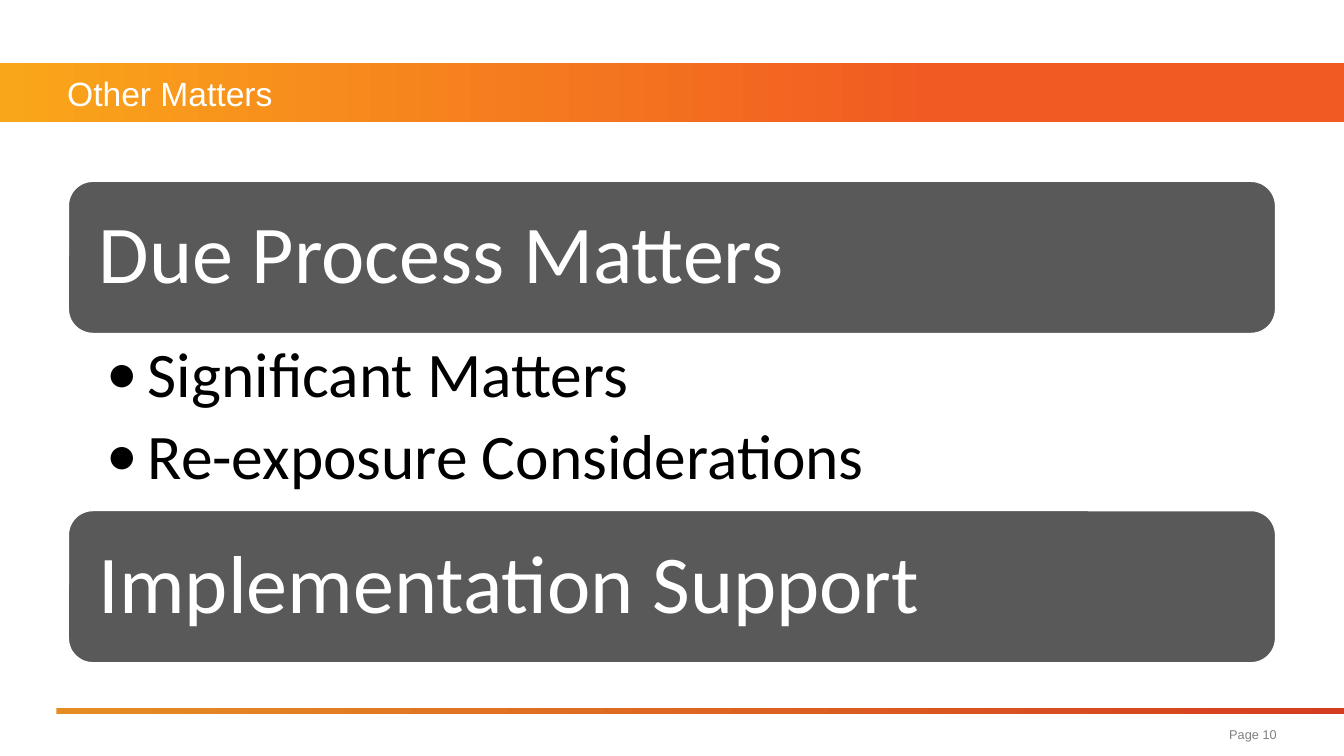
import pptx
import pptx.util
import pptx.dml.color
import pptx.enum.shapes
import pptx.enum.text
import pptx.oxml.ns
import lxml.etree

Inches = pptx.util.Inches
Pt = pptx.util.Pt
Shape = pptx.enum.shapes.MSO_SHAPE
Align = pptx.enum.text.PP_ALIGN
Anchor = pptx.enum.text.MSO_ANCHOR

theme = {
    "white": "FFFFFF", "black": "000000", "gray": "595959", "pale": "808080",
    "amber": "FAA61A", "orange": "F15A22", "gold": "E58D23", "red": "D53D20",
    "head": "Arial", "body": "Calibri",
    "title": 18, "page": 6.8, "bar": 44, "point": 34,
}


def color(name):
    return pptx.dml.color.RGBColor.from_string(theme[name])


def write(para, text, size, face, tone):
    run = para.add_run()
    run.text = text
    run.font.size = Pt(theme[size])
    run.font.name = theme[face]
    run.font.color.rgb = color(tone)


deck = pptx.Presentation()
deck.slide_width = Inches(10)
deck.slide_height = Inches(10 * 9 / 16)
slide = deck.slides.add_slide(deck.slide_layouts[5])
shapes = slide.shapes

for left, top, width, height, stops in [
    (0, 0.47, 10, 0.44, [("amber", 0), ("orange", 0.7)]),
    (0.42, 5.27, 9.58, 0.04, [("gold", 0), ("red", 1)]),
]:
    band = shapes.add_shape(Shape.RECTANGLE, Inches(left), Inches(top), Inches(width), Inches(height))
    band.shadow.inherit = False
    band.line.fill.background()
    band.fill.gradient()
    band.fill.gradient_angle = 0
    for stop, (tone, place) in zip(band.fill.gradient_stops, stops):
        stop.color.rgb = color(tone)
        stop.position = place

title = shapes.title
shapes.element.append(title.element)
title.left, title.top = Inches(0.5), Inches(0.47)
title.width, title.height = Inches(9), Inches(0.44)
page = shapes.add_textbox(Inches(6.48), Inches(5.34), Inches(3.02), Inches(0.25))
for box, text, size, tone, align in [
    (title, "Other Matters", "title", "white", Align.LEFT),
    (page, "Page 10", "page", "pale", Align.RIGHT),
]:
    frame = box.text_frame
    frame.word_wrap = True
    frame.auto_size = pptx.enum.text.MSO_AUTO_SIZE.NONE
    frame.vertical_anchor = Anchor.MIDDLE
    frame.margin_left = frame.margin_right = frame.margin_top = frame.margin_bottom = 0
    para = frame.paragraphs[0]
    para.alignment = align
    write(para, text, size, "head", tone)

for top, text in [(1.34, "Due Process Matters"), (3.79, "Implementation Support")]:
    bar = shapes.add_shape(Shape.ROUNDED_RECTANGLE, Inches(0.5), Inches(top), Inches(9), Inches(1.15))
    bar.shadow.inherit = False
    bar.fill.solid()
    bar.fill.fore_color.rgb = color("gray")
    bar.line.color.rgb = color("white")
    bar.line.width = Pt(2)
    frame = bar.text_frame
    frame.word_wrap = True
    frame.vertical_anchor = Anchor.MIDDLE
    frame.margin_left = frame.margin_right = frame.margin_top = frame.margin_bottom = Inches(0.18)
    para = frame.paragraphs[0]
    para.alignment = Align.LEFT
    para.line_spacing = 0.9
    write(para, text, "bar", "body", "white")

points = shapes.add_textbox(Inches(0.5), Inches(2.49), Inches(9), Inches(1.29))
frame = points.text_frame
frame.word_wrap = True
frame.margin_left, frame.margin_right = Inches(0.29), Inches(0.34)
frame.margin_top = frame.margin_bottom = Inches(0.06)
for count, text in enumerate(["Significant Matters", "Re-exposure Considerations"]):
    para = frame.add_paragraph() if count else frame.paragraphs[0]
    para.level = 1
    para.line_spacing = 0.9
    para.space_after = Pt(7)
    props = para._p.get_or_add_pPr()
    props.set("marL", str(Inches(0.31)))
    props.set("indent", str(Inches(-0.31)))
    face = lxml.etree.SubElement(props, pptx.oxml.ns.qn("a:buFont"))
    face.set("typeface", theme["body"])
    mark = lxml.etree.SubElement(props, pptx.oxml.ns.qn("a:buChar"))
    mark.set("char", "•")
    write(para, text, "point", "body", "black")

deck.save("out.pptx")
